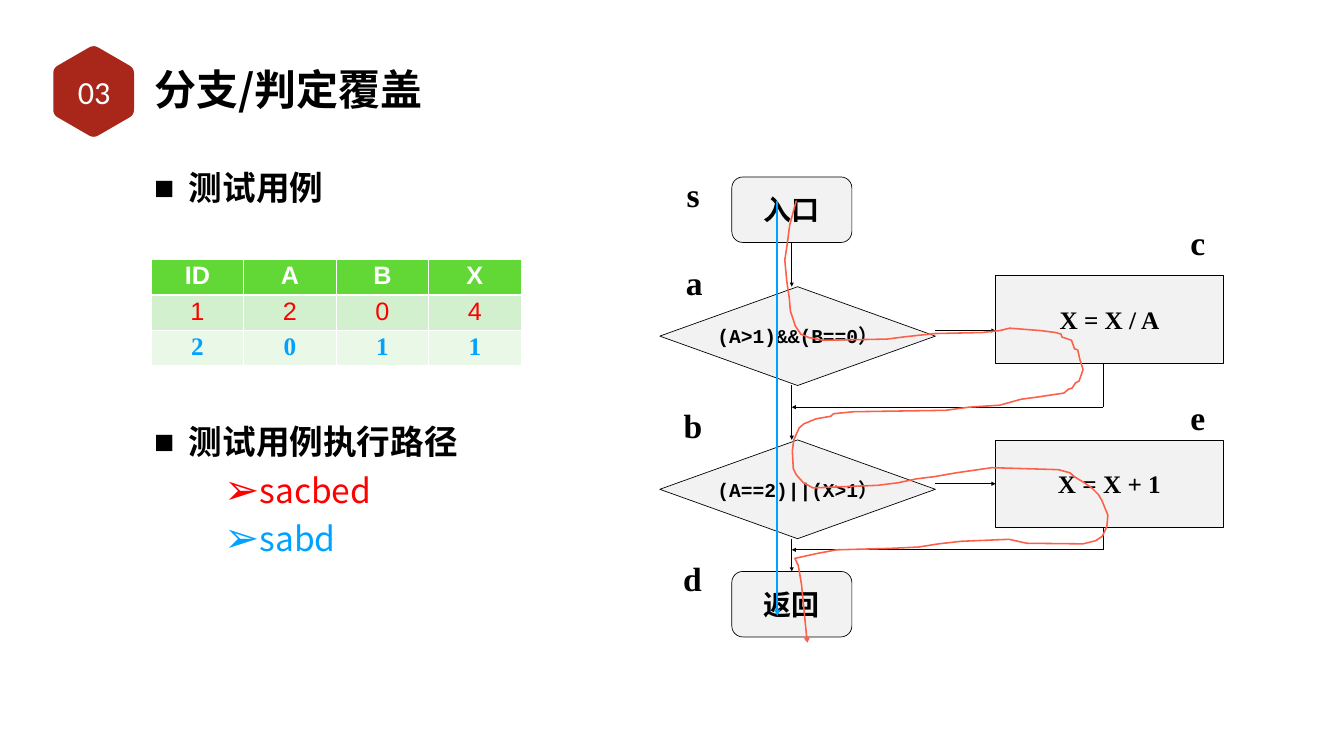
"""Build the branch coverage slide with its test cases, flow chart and execution paths."""
from math import cos, pi, sin

from lxml.etree import SubElement
from pptx import Presentation
from pptx.dml.color import RGBColor
from pptx.enum.shapes import MSO_CONNECTOR as Connector, MSO_SHAPE as Shape
from pptx.enum.text import MSO_ANCHOR as Anchor, MSO_AUTO_SIZE as AutoSize, PP_ALIGN as Align
from pptx.oxml.ns import qn
from pptx.util import Cm, Pt

THEME = {
    "black": "000000", "white": "FFFFFF", "badge": "A8271A", "box": "F2F2F2",
    "red": "FF0000", "blue": "00A2FF", "trace": "FE5F48",
    "header": "61D836", "row_dark": "D2F0CE", "row_light": "EAF8E8",
    "title_size": 60, "list_size": 48, "label_size": 48, "badge_size": 46,
    "terminal_size": 40, "process_size": 36, "table_size": 36, "decision_size": 28,
    "cjk": "Noto Sans CJK SC", "serif": "Times New Roman", "mono": "Courier New",
    "sans": "Arial", "badge_font": "Calibri",
}


def write(paragraph, text, face, size, color="black", bold=True, align=Align.CENTER):
    paragraph.alignment = align
    run = paragraph.add_run()
    run.text = text
    values = {"name": THEME[face], "size": Pt(THEME[size]), "bold": bold}
    for name, value in values.items():
        setattr(run.font, name, value)
    run.font.color.rgb = RGBColor.from_string(THEME[color])
    SubElement(run.font._element, qn("a:ea"), typeface=THEME["cjk"])


def outline(shape, color="black", width=1, arrow=None):
    shape.line.color.rgb = RGBColor.from_string(THEME[color])
    shape.line.width = Pt(width)
    properties = shape._element.spPr
    if arrow:
        SubElement(properties.find(qn("a:ln")), qn("a:tailEnd"), type=arrow)
    SubElement(properties, qn("a:effectLst"))


presentation = Presentation()
presentation.slide_width, presentation.slide_height = Cm(67.73), Cm(38.1)
slide = presentation.slides.add_slide(presentation.slide_layouts[3])
shapes = slide.shapes
title, case_list, path_list = slide.placeholders

center_x, center_y, radius, rounding = 4.72, 4.61, 2.35, 0.115
corners = [(center_x + radius * sin(i * pi / 3), center_y - radius * cos(i * pi / 3)) for i in range(6)]
badge_points = []
for i, corner in enumerate(corners):
    before, after = corners[i - 1], corners[(i + 1) % 6]
    for step in range(7):
        t = step / 6
        badge_points.append([
            Cm(c + rounding * ((1 - t) ** 2 * (b - c) + t ** 2 * (a - c)))
            for b, c, a in zip(before, corner, after)
        ])
builder = shapes.build_freeform(*badge_points[0])
builder.add_line_segments(badge_points[1:], close=True)
badge = builder.convert_to_shape()
badge.shadow.inherit = False
badge.fill.solid()
badge.fill.fore_color.rgb = RGBColor.from_string(THEME["badge"])
badge.line.fill.background()

number = shapes.add_textbox(Cm(2.54), Cm(3.28), Cm(4.42), Cm(2.67))
number.text_frame.word_wrap = True
number.text_frame.vertical_anchor = Anchor.MIDDLE
write(number.text_frame.paragraphs[0], "03", "badge_font", "badge_size", "white", False)

frames = [
    (title, 3, 15.29, 2.9, Anchor.MIDDLE),
    (case_list, 6.86, 20.62, 6.63, Anchor.TOP),
    (path_list, 19.66, 20.62, 5.28, Anchor.TOP),
]
for placeholder, top, width, height, anchor in frames:
    box = {"left": Cm(7.62), "top": Cm(top), "width": Cm(width), "height": Cm(height)}
    for name, value in box.items():
        setattr(placeholder, name, value)
    values = {"auto_size": AutoSize.NONE, "word_wrap": True, "vertical_anchor": anchor}
    values |= {f"margin_{side}": Cm(0.15) for side in ("left", "right", "top", "bottom")}
    for name, value in values.items():
        setattr(placeholder.text_frame, name, value)
write(title.text_frame.paragraphs[0], "分支/判定覆盖", "cjk", "title_size", align=Align.LEFT)

items = [
    (case_list, "测试用例", 0, "black"),
    (path_list, "测试用例执行路径", 0, "black"),
    (path_list, "sacbed", 1, "red"),
    (path_list, "sabd", 1, "blue"),
]
for placeholder, text, level, color in items:
    frame = placeholder.text_frame
    paragraph = frame.add_paragraph() if level else frame.paragraphs[0]
    values = {"level": level, "line_spacing": (1.7, 1.2)[level], "space_before": Pt(0)}
    for name, value in values.items():
        setattr(paragraph, name, value)
    properties = paragraph._p.get_or_add_pPr()
    properties.set("marL", str(Cm((1.75, 5.28)[level])))
    properties.set("indent", str(Cm(-1.75)))
    SubElement(properties, qn("a:buSzPct"), val=("100000", "125000")[level])
    SubElement(properties, qn("a:buFont"), typeface=THEME["sans"])
    SubElement(properties, qn("a:buChar"), char="■➢"[level])
    write(paragraph, text, "cjk", "list_size", color, not level, Align.LEFT)

rows = [
    ("IDABX", ("ID", "A", "B", "X"), "header", "sans", "white", True),
    ("first", "1204", "row_dark", "sans", "red", False),
    ("second", "2011", "row_light", "serif", "blue", True),
]
table = shapes.add_table(3, 4, Cm(7.62), Cm(13.08), Cm(18.64), Cm(5.34)).table
for row, (_, texts, fill, face, color, bold) in enumerate(rows):
    for column, text in enumerate(texts):
        cell = table.cell(row, column)
        write(cell.text_frame.paragraphs[0], text, face, "table_size", color, bold)
        for side in ("lnL", "lnR", "lnT", "lnB"):
            thick = (row, side) in ((0, "lnB"), (1, "lnT"))
            border = SubElement(cell._tc.get_or_add_tcPr(), qn(f"a:{side}"), w=str(Pt(3 if thick else 1)))
            SubElement(SubElement(border, qn("a:solidFill")), qn("a:srgbClr"), val=THEME["white"])
        cell.fill.solid()
        cell.fill.fore_color.rgb = RGBColor.from_string(THEME[fill])

kinds = {
    "terminal": (Shape.FLOWCHART_ALTERNATE_PROCESS, 36.88, 6.05, 3.3, "serif"),
    "decision": (Shape.FLOWCHART_DECISION, 33.25, 13.89, 4.98, "mono"),
    "process": (Shape.FLOWCHART_PROCESS, 50.17, 11.48, 4.42, "serif"),
}
nodes = [
    ("terminal", 8.92, "入口"), ("terminal", 28.8, "返回"),
    ("decision", 14.45, "(A>1)&&(B==0）"), ("decision", 22.17, "(A==2)||(X>1）"),
    ("process", 13.89, "X = X / A"), ("process", 22.17, "X = X + 1"),
]
for kind, top, text in nodes:
    preset, left, width, height, face = kinds[kind]
    node = shapes.add_shape(preset, Cm(left), Cm(top), Cm(width), Cm(height))
    node.fill.solid()
    node.fill.fore_color.rgb = RGBColor.from_string(THEME["box"])
    outline(node)
    node.text_frame.word_wrap = False
    node.text_frame.vertical_anchor = Anchor.MIDDLE
    write(node.text_frame.paragraphs[0], text, face, f"{kind}_size")

spine, bypass, branch_start, branch_end = 39.9, 55.6, 47.14, 50.17
flows = [(spine, top, spine, bottom, "triangle")
         for top, bottom in ((12.24, 14.45), (19.41, 22.17), (27.15, 28.8))]
for exit_y, join_y in ((18.31, 20.52), (26.59, 27.71)):
    flows += [(bypass, exit_y, bypass, join_y, None), (bypass, join_y, spine, join_y, "triangle")]
flows += [(branch_start, y, branch_end, y, "triangle") for y in (16.66, 24.38)]
for *ends, arrow in flows:
    outline(shapes.add_connector(Connector.STRAIGHT, *map(Cm, ends)), arrow=arrow)

labels = [("s", 34.93, 8.66), ("a", 34.99, 13.08), ("b", 34.92, 20.27),
          ("d", 34.9, 27.99), ("c", 60.36, 11.07), ("e", 60.36, 19.89)]
for text, middle, top in labels:
    label = shapes.add_textbox(Cm(middle - 1), Cm(top), Cm(2), Cm(3.02))
    label.text_frame.word_wrap = False
    write(label.text_frame.paragraphs[0], text, "serif", "label_size")

trace_points = [
    (40.13, 10.11), (39.8, 11.33), (39.67, 12.32), (39.55, 13.11), (39.65, 14.17), (39.78, 15.04),
    (39.83, 15.67), (39.95, 16.03), (40.08, 16.43), (40.36, 16.84), (40.79, 17.02), (41.5, 17.15),
    (44.7, 17.09), (45.64, 16.97), (47.12, 16.81), (49.48, 16.76), (50.39, 16.66), (50.88, 16.54),
    (52.43, 16.66), (53.21, 16.76), (53.47, 16.84), (53.52, 16.99), (54, 17.15), (54.15, 17.58),
    (54.31, 17.63), (54.41, 18.08), (54.58, 18.62), (54.48, 18.92), (54.38, 19.2), (54.2, 19.3),
    (54.03, 19.56), (53.85, 19.61), (53.62, 19.81), (52.22, 20.02), (51.46, 20.12), (50.39, 20.42),
    (48.84, 20.52), (47.65, 20.68), (43.03, 20.75), (42.01, 20.85), (41.86, 20.98), (41.12, 21.11),
    (40.51, 21.36), (40.28, 21.56), (40, 22.17), (39.93, 22.73), (39.98, 23.62), (40.13, 23.93),
    (40.49, 24.33), (40.97, 24.59), (44.22, 24.46), (45.26, 24.33), (46.2, 24.13), (47.04, 24.03),
    (48.18, 23.83), (49.99, 23.57), (53.34, 23.67), (53.92, 23.83), (54.15, 24.03), (54.69, 24.36),
    (55.04, 24.61), (55.35, 24.92), (55.52, 25.2), (55.83, 25.96), (55.78, 26.54), (55.55, 27.03),
    (55.22, 27.25), (54.58, 27.41), (51.74, 27.38), (50.85, 27.18), (48.44, 27.28), (47.29, 27.41),
    (46.3, 27.57), (44.81, 27.64), (42.16, 27.71), (41.2, 27.89), (40.06, 28.14), (40.23, 28.5),
    (40.39, 29.44), (40.51, 30.66), (40.64, 31.98), (40.69, 32.39),
]
trace_start, *trace_rest = [(Cm(x), Cm(y)) for x, y in trace_points]
builder = shapes.build_freeform(*trace_start)
builder.add_line_segments(trace_rest, close=False)
sacbed_path = builder.convert_to_shape()
sacbed_path.fill.background()
outline(sacbed_path, "trace", 2.25, "arrow")

sabd_path = shapes.add_connector(Connector.STRAIGHT, Cm(39.17), Cm(10.13), Cm(39.17), Cm(31.04))
outline(sabd_path, "blue", 3, "triangle")

presentation.save("out.pptx")
